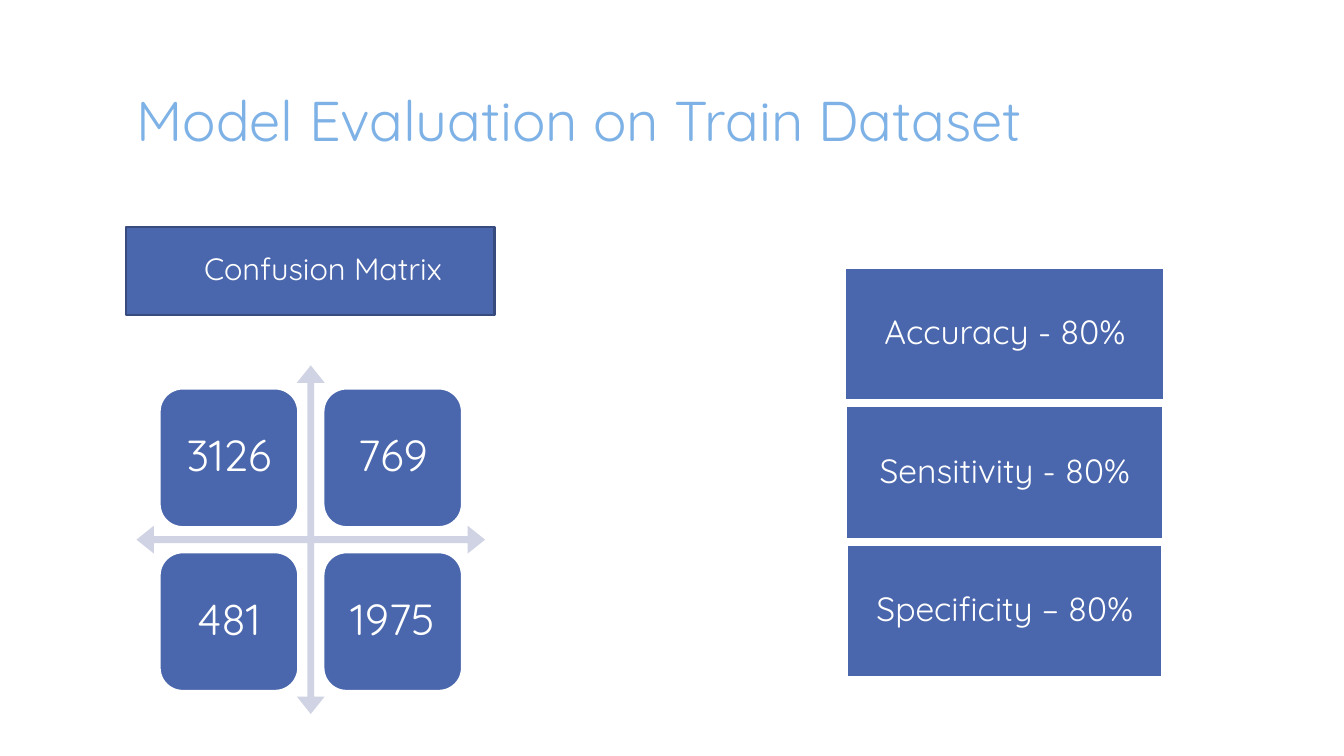
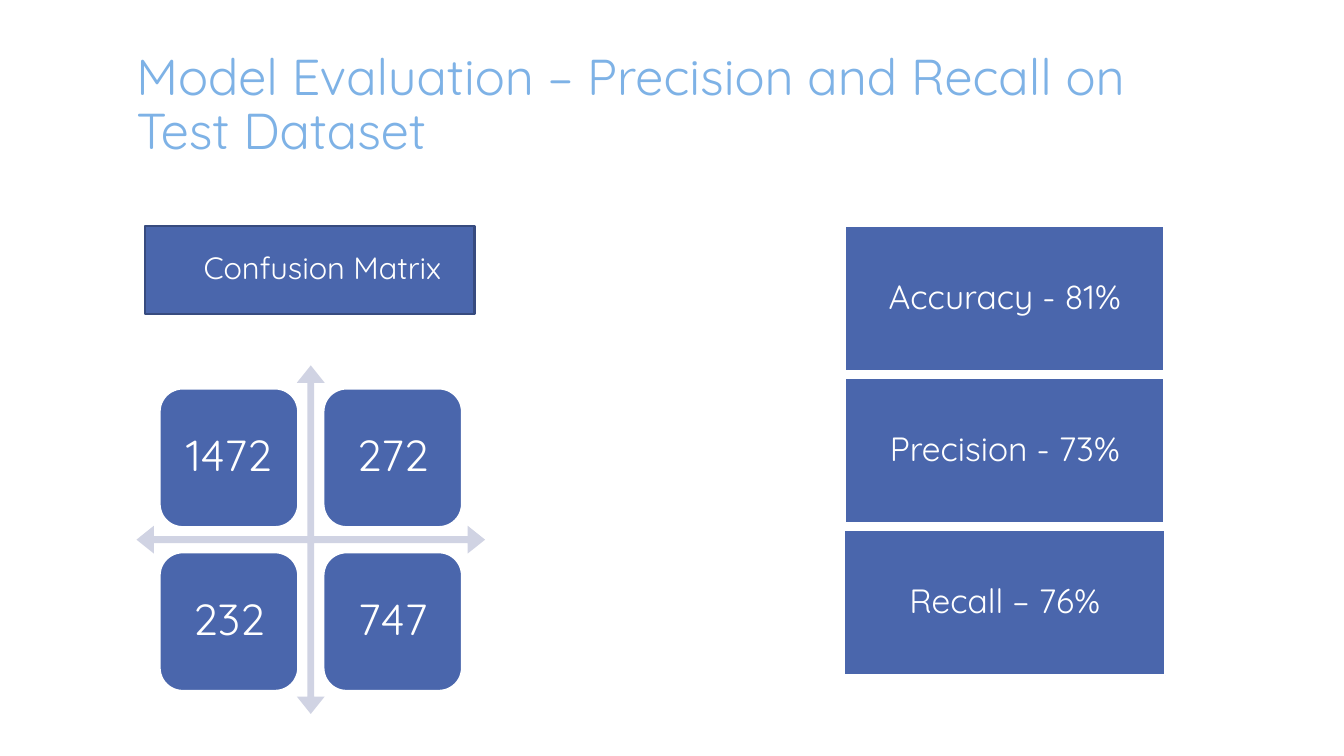
import pptx
import pptx.dml.color
import pptx.enum.shapes
import pptx.enum.text
import pptx.util

PX = 9525  # EMU per px, 96 px to the inch
FONT = "Quicksand"
TITLE_BLUE = "7EB2E6"
BOX_BLUE = "4A66AC"
BADGE_EDGE = "374B7F"
ARROW_GREY = "D0D3E3"
WHITE = "FFFFFF"

SHAPES = pptx.enum.shapes.MSO_SHAPE
ALIGN = pptx.enum.text.PP_ALIGN

# Shared layout of the matrix and the metric column
MATRIX_LEFT, MATRIX_TOP, MATRIX_SIZE = 130, 348, 332
TILE_INSET, TILE_SIZE, TILE_PITCH = 22, 132, 156
METRIC_CENTER = 957

evaluations = [
    {
        "title": "Model Evaluation on Train Dataset",
        "title_box": (120, 46, 1037, 142),
        "title_size": 40,
        "badge_box": (120, 216, 351, 84),
        "matrix": [["3126", "769"], ["481", "1975"]],
        "metrics": [("Accuracy - 80%", 304), ("Sensitivity - 80%", 302),
                    ("Specificity – 80%", 300)],
        "metric_top": 255, "metric_height": 126, "metric_pitch": 132,
    },
    {
        "title": "Model Evaluation – Precision and Recall on Test Dataset",
        "title_box": (120, 64, 1060, 74),
        "title_size": 36,
        "badge_box": (138, 215, 314, 84),
        "matrix": [["1472", "272"], ["232", "747"]],
        "metrics": [("Accuracy - 81%", 304), ("Precision - 73%", 304),
                    ("Recall – 76%", 306)],
        "metric_top": 215, "metric_height": 138, "metric_pitch": 145,
    },
]


def rgb(color):
    return pptx.dml.color.RGBColor.from_string(color)


def add_box(slide, box, text, size, kind=None, fill=BOX_BLUE, edge=WHITE,
            color=WHITE, align=ALIGN.CENTER, margin_left=10, margin_right=10):
    """Add a shape of the given kind, or a plain text box without one."""
    lengths = [length * PX for length in box]
    if kind is None:
        shape = slide.shapes.add_textbox(*lengths)
    else:
        shape = slide.shapes.add_shape(kind, *lengths)
        shape.shadow.inherit = False
        shape.fill.solid()
        shape.fill.fore_color.rgb = rgb(fill)
        if edge:
            shape.line.color.rgb = rgb(edge)
            shape.line.width = pptx.util.Pt(1.5)
        else:
            shape.line.fill.background()
    if text:
        frame = shape.text_frame
        frame.word_wrap = True
        frame.vertical_anchor = pptx.enum.text.MSO_ANCHOR.MIDDLE
        frame.margin_left = margin_left * PX
        frame.margin_right = margin_right * PX
        paragraph = frame.paragraphs[0]
        paragraph.text = text
        paragraph.alignment = align
        paragraph.line_spacing = 0.9
        paragraph.font.name = FONT
        paragraph.font.size = pptx.util.Pt(size)
        paragraph.font.color.rgb = rgb(color)
    return shape


deck = pptx.Presentation()
deck.slide_width = 1280 * PX
deck.slide_height = 720 * PX

for evaluation in evaluations:
    slide = deck.slides.add_slide(deck.slide_layouts[6])

    # Title and matrix heading
    add_box(slide, evaluation["title_box"], evaluation["title"],
            evaluation["title_size"], color=TITLE_BLUE, align=ALIGN.LEFT)
    add_box(slide, evaluation["badge_box"], "Confusion Matrix", 22,
            SHAPES.RECTANGLE, edge=BADGE_EDGE, margin_left=34)

    # Four-way arrow behind the confusion matrix
    cross = add_box(slide, (MATRIX_LEFT, MATRIX_TOP, MATRIX_SIZE, MATRIX_SIZE),
                    "", 0, SHAPES.QUAD_ARROW, fill=ARROW_GREY, edge=None)
    for index, ratio in enumerate((0.02, 0.04, 0.05)):
        cross.adjustments[index] = ratio

    # Confusion matrix tiles
    for row, counts in enumerate(evaluation["matrix"]):
        for column, count in enumerate(counts):
            left = MATRIX_LEFT + TILE_INSET + column * TILE_PITCH
            top = MATRIX_TOP + TILE_INSET + row * TILE_PITCH
            add_box(slide, (left, top, TILE_SIZE, TILE_SIZE), count, 31,
                    SHAPES.ROUNDED_RECTANGLE)

    # Metric column
    for index, (metric, width) in enumerate(evaluation["metrics"]):
        top = evaluation["metric_top"] + index * evaluation["metric_pitch"]
        add_box(slide, (METRIC_CENTER - width // 2, top, width,
                        evaluation["metric_height"]),
                metric, 24, SHAPES.RECTANGLE)

deck.save("out.pptx")
